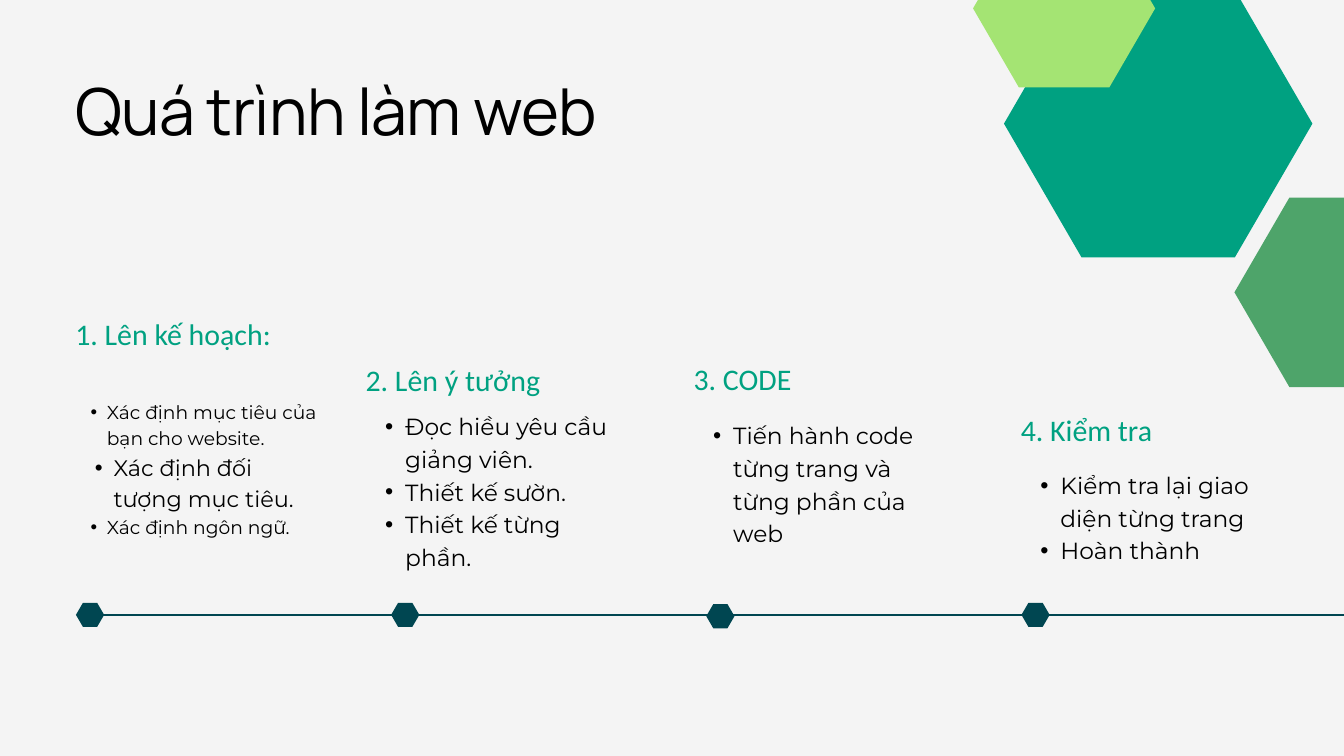
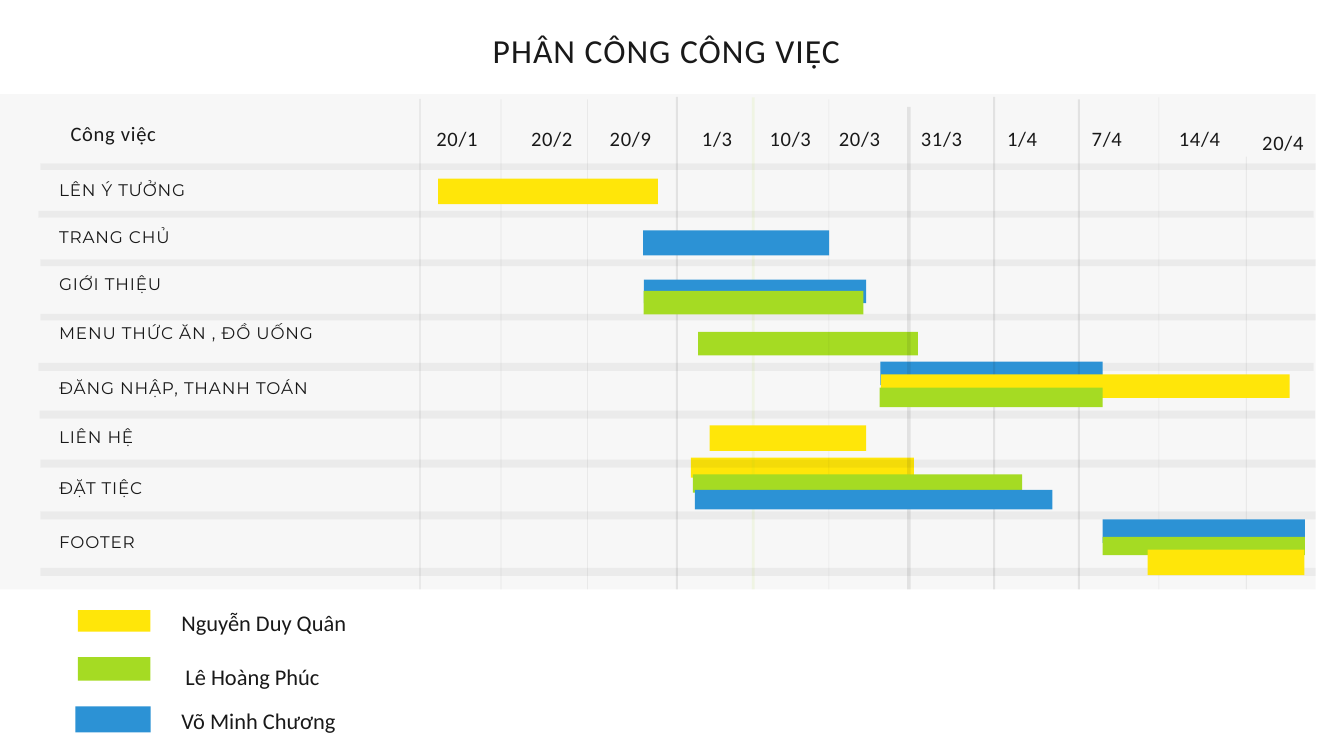
from collections import namedtuple

from lxml.etree import SubElement
from pptx import Presentation
from pptx.dml.color import RGBColor
from pptx.enum.shapes import MSO_CONNECTOR, MSO_SHAPE
from pptx.enum.text import MSO_AUTO_SIZE, PP_ALIGN
from pptx.oxml.ns import qn
from pptx.util import Emu, Pt

EMU_PER_PX = 9144

COLOURS = {
    "mist": "F4F4F4", "white": "FFFFFF", "black": "000000", "ink": "191919",
    "teal": "00A181", "petrol": "004651", "leaf": "4EA46A", "lime": "A4E473",
    "yellow": "FFE609", "green": "A5DB23", "blue": "2C92D5",
}

Style = namedtuple("Style", "size font colour leading tracking", defaults=(0,))

STYLES = {
    "process title": Style(69.4, "Manrope", "black", 83.3, -0.7),
    "step heading": Style(32, "Calibri", "teal", 38.4),
    "schedule title": Style(36, "Calibri", "ink", 47.2, 1.1),
    "column": Style(22, "Calibri", "ink", 28.4, 0.8),
    "task": Style(18, "Montserrat", "ink", 27, 0.9),
    "person": Style(24, "Calibri", "ink", 33.6),
}

STEPS = [
    (112, 470, 591, 243, "1. Lên kế hoạch:",
     [("Xác định mục tiêu của bạn cho website.", 20),
      ("Xác định đối tượng mục tiêu.", 24),
      ("Xác định ngôn ngữ.", 20)]),
    (544, 538, 607, 237, "2. Lên ý tưởng",
     [("Đọc hiều yêu cầu giảng viên.", 25),
      ("Thiết kế sườn.", 25),
      ("Thiết kế từng phần.", 25)]),
    (1032, 537, 620, 188, "3. CODE",
     [("Tiến hành code từng trang và từng phần của web", 25)]),
    (1519, 612, 694, 140, "4. Kiểm tra",
     [("Kiểm tra lại giao diện từng trang", 25),
      ("Hoàn thành", 25)]),
]

DATES = [
    ("20/1", 599, 185), ("20/2", 740, 185), ("20/9", 857, 185),
    ("1/3", 986, 185), ("10/3", 1095, 185), ("20/3", 1198, 185),
    ("31/3", 1320, 185), ("1/4", 1440, 185), ("7/4", 1566, 185),
    ("14/4", 1704, 185), ("20/4", 1828, 191),
]

TASKS = [
    ("LÊN Ý TƯỞNG", 260), ("TRANG CHỦ", 330), ("GIỚI THIỆU", 400),
    ("MENU THỨC ĂN , ĐỒ UỐNG", 473), ("ĐĂNG NHẬP, THANH TOÁN", 554),
    ("LIÊN HỆ", 628), ("ĐẶT TIỆC", 703), ("FOOTER", 784),
]

GRID_BOTTOM = 877
BACK_COLUMNS = [
    (624, 147, 2, "ink"), (1006, 144, 3, "ink"),
    (874, 148, 1, "ink"), (745, 148, 1, "ink"),
]
FRONT_COLUMNS = [
    (1233, 148, 1, "ink"), (1350, 159, 5, "ink"), (1478, 144, 3, "ink"),
    (1604, 148, 3, "ink"), (1724, 145, 1, "ink"), (1854, 233, 1, "ink"),
    (1119, 145, 4, "green"),
]
BACK_ROWS = [(60, 243, 10), (57, 314, 10), (60, 386, 10), (60, 467, 10), (57, 540, 12)]
FRONT_ROWS = [(59, 611, 12), (60, 684, 12), (60, 761, 12), (60, 845, 12)]

BACK_BARS = [
    ("yellow", 652, 266, 327, 38), ("green", 1039, 494, 327, 35),
    ("blue", 1310, 538, 331, 35), ("yellow", 1028, 681, 332, 30),
]
FRONT_BARS = [
    ("blue", 957, 343, 277, 37),
    ("blue", 958, 416, 331, 35), ("green", 958, 433, 327, 35),
    ("yellow", 1311, 557, 608, 35), ("green", 1309, 577, 332, 29),
    ("yellow", 1056, 633, 233, 38),
    ("green", 1031, 706, 490, 27), ("blue", 1034, 729, 532, 29),
    ("blue", 1641, 773, 301, 35), ("green", 1641, 799, 301, 27),
    ("yellow", 1708, 818, 233, 38),
]

LEGEND = [
    ("yellow", (116, 908, 108, 32), "Nguyễn Duy Quân", (270, 900, 352, 44)),
    ("green", (116, 978, 108, 35), "Lê Hoàng Phúc", (276, 980, 323, 44)),
    ("blue", (112, 1051, 112, 39), "Võ Minh Chương", (270, 1046, 276, 44)),
]


def px(*lengths):
    return [Emu(length * EMU_PER_PX) for length in lengths]


def colour(name):
    return RGBColor.from_string(COLOURS[name])


def add_page(deck, background):
    page = deck.slides.add_slide(deck.slide_layouts[6])
    page.background.fill.solid()
    page.background.fill.fore_color.rgb = colour(background)
    return page


def add_block(page, area, fill, opacity=100, kind=MSO_SHAPE.RECTANGLE):
    block = page.shapes.add_shape(kind, *px(*area))
    block.shadow.inherit = False
    block.fill.solid()
    block.fill.fore_color.rgb = colour(fill)
    block.line.fill.background()
    if opacity < 100:
        tint = block.fill._xPr.find(".//" + qn("a:srgbClr"))
        SubElement(tint, qn("a:alpha")).set("val", str(opacity * 1000))
    return block


def add_hexagon(page, area, fill):
    hexagon = add_block(page, area, fill, kind=MSO_SHAPE.HEXAGON)
    hexagon.adjustments[0] = 0.29


def add_frame(page, area):
    frame = page.shapes.add_textbox(*px(*area)).text_frame
    frame.margin_left = frame.margin_right = 0
    frame.margin_top = frame.margin_bottom = 0
    frame.word_wrap = True
    frame.auto_size = MSO_AUTO_SIZE.SHAPE_TO_FIT_TEXT
    return frame


def format_para(para, style):
    para.line_spacing = Pt(style.leading)
    for span in para.runs:
        span.font.size = Pt(style.size)
        span.font.name = style.font
        span.font.color.rgb = colour(style.colour)
        if style.tracking:
            span.font._element.set("spc", str(round(style.tracking * 100)))


def add_text(page, area, text, style_name, align=PP_ALIGN.LEFT):
    frame = add_frame(page, area)
    frame.text = text
    para = frame.paragraphs[0]
    para.alignment = align
    format_para(para, STYLES[style_name])


def add_bullets(page, area, items):
    frame = add_frame(page, area)
    for index, (text, size) in enumerate(items):
        para = frame.add_paragraph() if index else frame.paragraphs[0]
        para.text = text
        para.level = 1
        format_para(para, Style(size, "Montserrat", "black", round(size * 1.4, 1)))
        margin, hang = px(round(size * 2.36), round(size * 1.18))
        properties = para._p.get_or_add_pPr()
        properties.set("marL", str(margin))
        properties.set("indent", str(-hang))
        SubElement(properties, qn("a:buFont")).set("typeface", "Arial")
        SubElement(properties, qn("a:buChar")).set("char", "•")


def add_timeline(page):
    start_x, start_y, end_x, end_y = px(139, 915, 2000, 915)
    line = page.shapes.add_connector(MSO_CONNECTOR.STRAIGHT, start_x, start_y, end_x, end_y)
    line.line.color.rgb = colour("petrol")
    line.line.width = Pt(1.5)
    SubElement(line._element.spPr, qn("a:effectLst"))


def add_grid_layer(page, columns, rows, bars):
    for left, top, width, fill in columns:
        add_block(page, (left, top, width, GRID_BOTTOM - top), fill, 9)
    for left, top, height in rows:
        add_block(page, (left, top, 1898, height), "ink", 5)
    for fill, *area in bars:
        add_block(page, area, fill)


def build_process(deck):
    page = add_page(deck, "mist")
    add_timeline(page)
    for index, (left, heading_top, body_top, height, heading, items) in enumerate(STEPS):
        add_text(page, (left, heading_top, 368, 53), heading, "step heading")
        add_bullets(page, (left, body_top, 368, height), items)
        marker_top = 899 if index == 2 else 897
        add_hexagon(page, (113 + 469 * index, marker_top, 42, 36), "petrol")
    add_text(page, (112, 105, 938, 123), "Quá trình làm web", "process title")
    add_hexagon(page, (1837, 294, 326, 282), "leaf")
    add_hexagon(page, (1494, -15, 459, 398), "teal")
    add_hexagon(page, (1448, -105, 271, 235), "lime")


def build_schedule(deck):
    page = add_page(deck, "white")
    add_text(page, (505, 39, 974, 63), "PHÂN CÔNG CÔNG VIỆC", "schedule title", PP_ALIGN.CENTER)
    add_block(page, (0, 140, 1958, 737), "ink", 3)
    add_grid_layer(page, BACK_COLUMNS, BACK_ROWS, BACK_BARS)
    add_grid_layer(page, FRONT_COLUMNS, FRONT_ROWS, FRONT_BARS)
    add_text(page, (105, 177, 406, 38), "Công việc", "column")
    for date, left, top in DATES:
        add_text(page, (left, top, 162, 38), date, "column", PP_ALIGN.CENTER)
    for task, top in TASKS:
        add_text(page, (88, top, 547, 36), task, "task")
    for fill, swatch, person, area in LEGEND:
        add_block(page, swatch, fill)
        add_text(page, area, person, "person")


def main():
    deck = Presentation()
    deck.slide_width, deck.slide_height = px(2000, 1125)
    build_process(deck)
    build_schedule(deck)
    deck.save("out.pptx")


if __name__ == "__main__":
    main()
